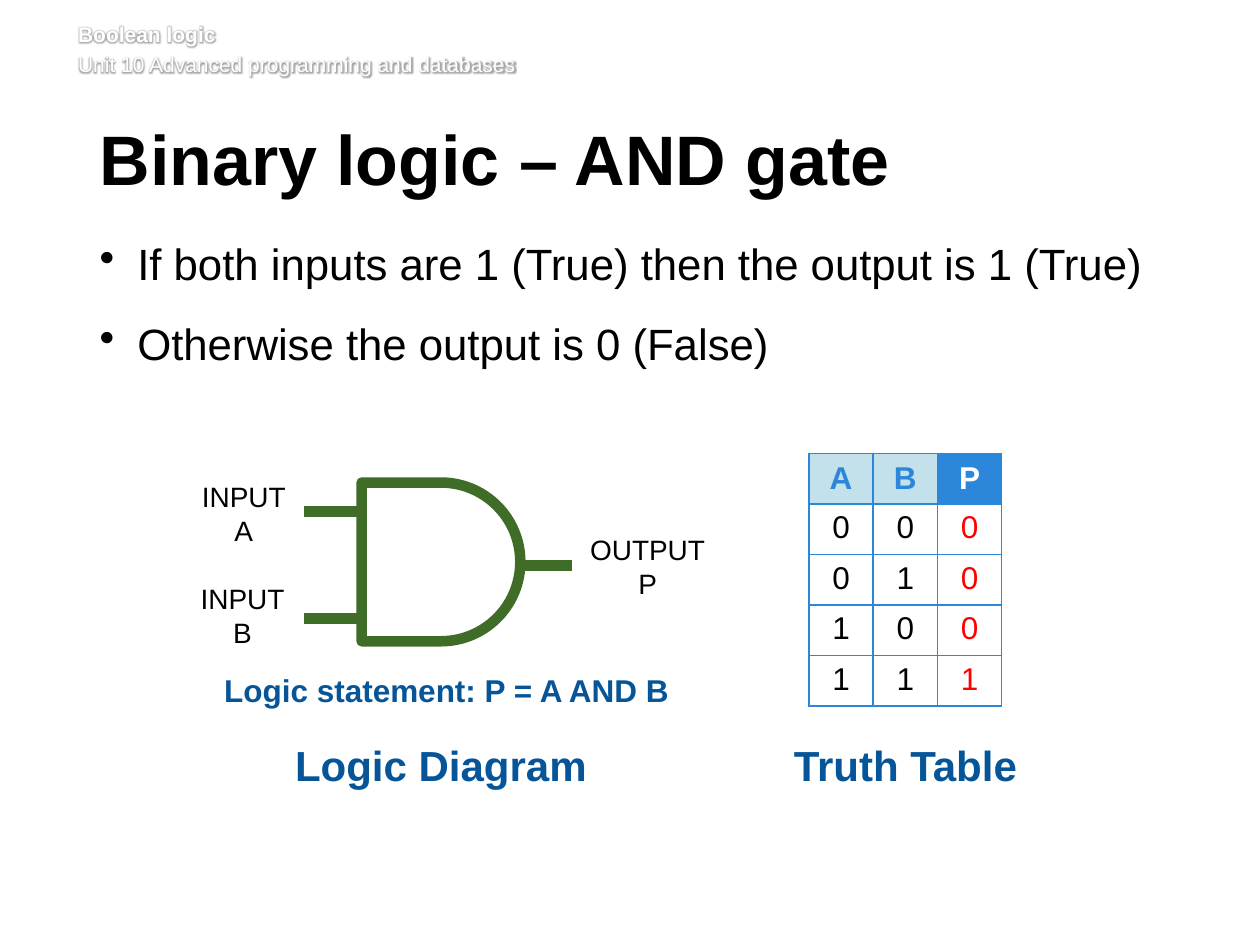
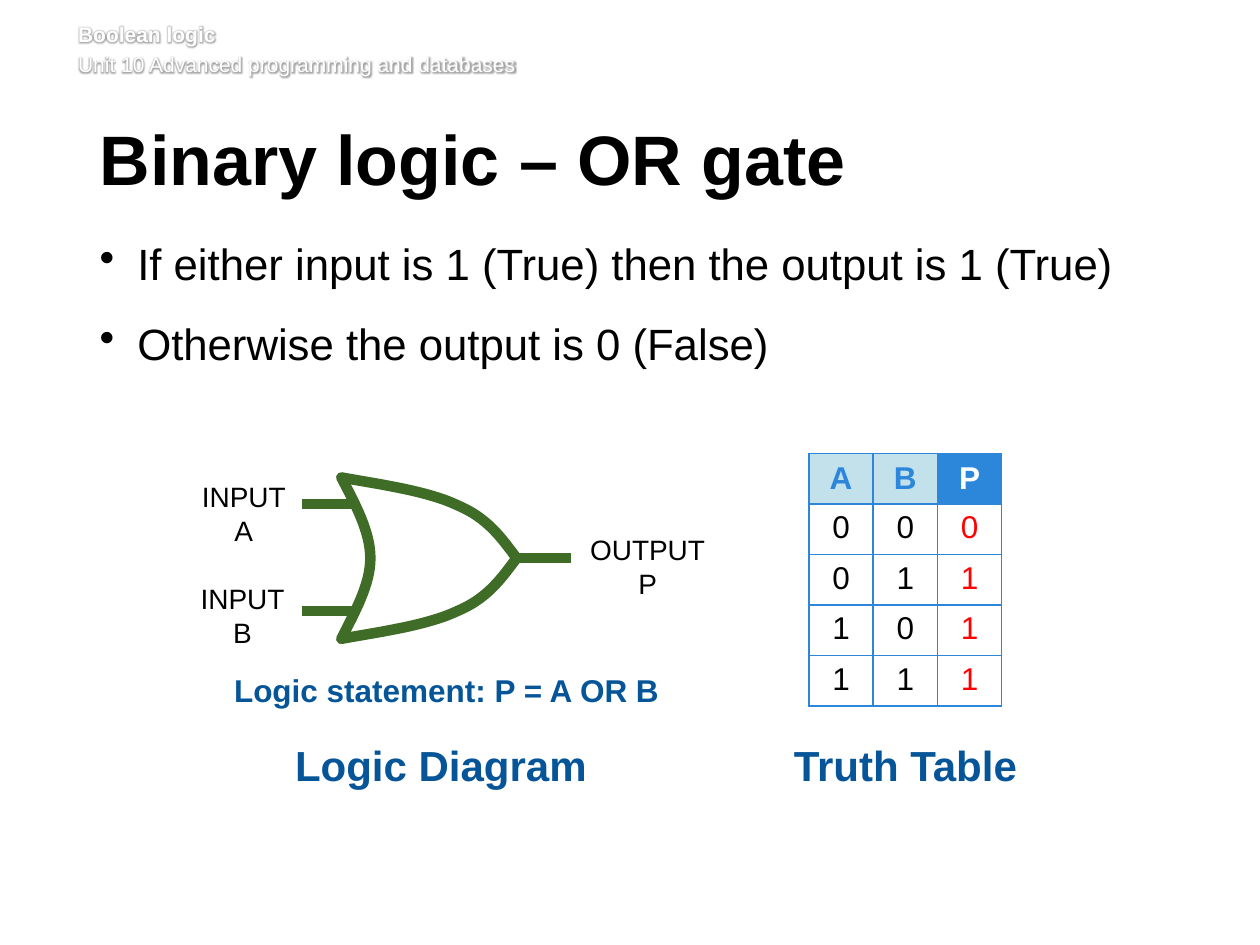
from dataclasses import dataclass

from lxml.etree import SubElement
from pptx import Presentation
from pptx.dml.color import RGBColor
from pptx.enum.shapes import MSO_CONNECTOR, MSO_SHAPE
from pptx.enum.text import MSO_ANCHOR, MSO_AUTO_SIZE, PP_ALIGN
from pptx.oxml import parse_xml
from pptx.oxml.ns import nsdecls, qn
from pptx.util import Inches, Pt

# Content
UNIT_HEADER = [("Boolean logic", True),
               ("Unit 10 Advanced programming and databases", False)]
GATES = [
    dict(name="AND", rule="If both inputs are 1 (True) then the output is 1 (True)",
         outputs=[0, 0, 0, 1], wires_at=(2.41, 4.06)),
    dict(name="OR", rule="If either input is 1 (True) then the output is 1 (True)",
         outputs=[0, 1, 1, 1], wires_at=(2.40, 4.0)),
]
OTHERWISE = "Otherwise the output is 0 (False)"
INPUT_PAIRS = [(0, 0), (0, 1), (1, 0), (1, 1)]
COLUMN_NAMES = ["A", "B", "P"]
PIN_LABELS = [  # lines, box
    (["INPUT", "A"], (1.5, 3.76, 0.87, 0.64)),
    (["INPUT", "B"], (1.49, 4.57, 0.87, 0.64)),
    (["OUTPUT", "P"], (4.58, 4.18, 1.12, 0.64)),
]
CAPTIONS = [("Logic Diagram", (2.23, 5.82, 2.54, 0.5)),
            ("Truth Table", (6.19, 5.82, 1.99, 0.5))]

# Geometry in inches
WIRE_LENGTH = 0.43
WIRE_OFFSETS = [(1.7, 0.43), (0, 0), (0, 0.85)]
STATEMENT_BOX = (1.66, 5.28, 3.77, 0.4)
AND_BODY = (2.87, 3.83, 1.26, 1.26)
OR_AXIS = 4.43
OR_TOP = [[(2.71, 3.79), (3.05, 3.85), (3.4, 3.9), (3.63, 4.01)],
          [(3.63, 4.01), (3.87, 4.11), (3.98, 4.27), (4.1, 4.43)]]
OR_BACK = [[(2.71, 3.79), (2.82, 4.0), (2.94, 4.22), (2.94, 4.43)],
           [(2.94, 4.43), (2.94, 4.64), (2.82, 4.85), (2.71, 5.07)]]
TABLE_LEFT, TABLE_TOP, COLUMN_WIDTH, ROW_HEIGHT = 6.42, 3.6, 0.51, 0.4


@dataclass(frozen=True)
class Theme:
    font: str = "Arial"
    text: str = "000000"
    white: str = "FFFFFF"
    caption: str = "065598"
    gate: str = "3F6C27"
    table_blue: str = "2C87DA"
    table_pale: str = "C3E1EB"
    result: str = "FF0000"
    header_size: float = 12
    title_size: float = 40
    bullet_size: float = 25
    caption_size: float = 24
    table_size: float = 18
    pin_size: float = 16
    gate_line: float = 6


THEME = Theme()


def inches(values):
    return [Inches(value) for value in values]


def style(font, size, color, bold=False):
    font.size, font.bold, font.name = Pt(size), bold, THEME.font
    font.color.rgb = RGBColor.from_string(color)


def add_text(slide, box, lines, size, color, bold=False, margins=None):
    """Centred and unwrapped by default; with margins, left aligned and wrapped."""
    frame = slide.shapes.add_textbox(*inches(box)).text_frame
    frame.word_wrap = margins is not None
    if margins:
        (frame.margin_left, frame.margin_top,
         frame.margin_right, frame.margin_bottom) = inches(margins)
    else:
        frame.auto_size = MSO_AUTO_SIZE.SHAPE_TO_FIT_TEXT
    frame.text = "\n".join(lines)
    for paragraph in frame.paragraphs:
        paragraph.alignment = PP_ALIGN.LEFT if margins else PP_ALIGN.CENTER
        style(paragraph.font, size, color, bold)
    return frame.paragraphs


def add_header(slide):
    lines = [line for line, _ in UNIT_HEADER]
    paragraphs = add_text(slide, (0.62, 0.17, 8.82, 0.49), lines, THEME.header_size,
                          THEME.white, margins=(0, 0, 0, 0.05))
    paragraphs[1].space_before = Pt(2.9)
    for paragraph, (_, bold) in zip(paragraphs, UNIT_HEADER):
        run = paragraph.runs[0]
        style(run.font, THEME.header_size, THEME.white, bold)
        # Dark glow keeps the white header readable
        glow = parse_xml(
            f'<a:effectLst {nsdecls("a")}><a:glow rad="50800"><a:srgbClr val="000000">'
            '<a:alpha val="35000"/></a:srgbClr></a:glow></a:effectLst>')
        run.font.fill._xPr.find(qn("a:solidFill")).addnext(glow)


def add_title_and_rules(slide, gate):
    title, = add_text(slide, (0.79, 0.99, 8.55, 0.73), [f"Binary logic – {gate['name']} gate"],
                      THEME.title_size, THEME.text, True, (0, 0.05, 0.1, 0.05))
    title.line_spacing = Pt(39)
    for paragraph in add_text(slide, (0.79, 1.86, 8.53, 3.78), [gate["rule"], OTHERWISE],
                              THEME.bullet_size, THEME.text, margins=(0, 0, 0.1, 0.05)):
        properties = paragraph._p.get_or_add_pPr()
        properties.set("marL", str(Inches(0.3)))
        properties.set("indent", str(-Inches(0.3)))
        bullet = parse_xml(f'<a:buChar {nsdecls("a")} char="•"/>')
        properties.insert_element_before(bullet, "a:tabLst", "a:defRPr", "a:extLst")
        paragraph.line_spacing = 1.05
        paragraph.space_after = Pt(14)


def draw_gate_line(part):
    part.line.color.rgb = RGBColor.from_string(THEME.gate)
    part.line.width = Pt(THEME.gate_line)


def finish_outline(outline):
    outline.shadow.inherit = False
    outline.fill.background()
    draw_gate_line(outline)
    line_xml = outline.line._get_or_add_ln()
    line_xml.set("cap", "rnd")
    SubElement(line_xml, qn("a:round"))


def add_wires(slide, left, top):
    for dx, dy in WIRE_OFFSETS:
        x, y = left + dx, top + dy
        wire = slide.shapes.add_connector(MSO_CONNECTOR.STRAIGHT,
                                          *inches((x, y, x + WIRE_LENGTH, y)))
        draw_gate_line(wire)
        SubElement(wire._element.spPr, qn("a:effectLst"))


def bezier_points(segments, steps=16):
    points = [segments[0][0]]
    for p0, p1, p2, p3 in segments:
        for step in range(1, steps + 1):
            t = step / steps
            u = 1 - t
            points.append(tuple(u**3 * a + 3 * u * u * t * b + 3 * u * t * t * c + t**3 * d
                                for a, b, c, d in zip(p0, p1, p2, p3)))
    return points


def add_and_body(slide):
    finish_outline(slide.shapes.add_shape(MSO_SHAPE.FLOWCHART_DELAY, *inches(AND_BODY)))


def add_or_body(slide):
    top = bezier_points(OR_TOP)
    bottom = [(x, 2 * OR_AXIS - y) for x, y in top]
    for curve in (top, bottom, bezier_points(OR_BACK)):
        start, *rest = [inches(point) for point in curve]
        builder = slide.shapes.build_freeform(*start)
        builder.add_line_segments(rest, close=False)
        finish_outline(builder.convert_to_shape())


def add_diagram(slide, gate):
    for lines, box in PIN_LABELS:
        add_text(slide, box, lines, THEME.pin_size, THEME.text)
    add_text(slide, STATEMENT_BOX, [f"Logic statement: P = A {gate['name']} B"],
             THEME.table_size, THEME.caption, True)
    add_wires(slide, *gate["wires_at"])
    {"AND": add_and_body, "OR": add_or_body}[gate["name"]](slide)


def add_borders(cell):
    properties = cell._tc.get_or_add_tcPr()
    for index, side in enumerate("LRTB"):
        properties.insert(index, parse_xml(
            f'<a:ln{side} {nsdecls("a")} w="{Pt(1)}"><a:solidFill>'
            f'<a:srgbClr val="{THEME.table_blue}"/></a:solidFill></a:ln{side}>'))


def add_truth_table(slide, outputs):
    rows = [COLUMN_NAMES] + [[*pair, out] for pair, out in zip(INPUT_PAIRS, outputs)]
    size = (COLUMN_WIDTH * len(COLUMN_NAMES), ROW_HEIGHT * len(rows))
    table = slide.shapes.add_table(len(rows), len(COLUMN_NAMES),
                                   *inches((TABLE_LEFT, TABLE_TOP, *size))).table
    table.first_row = table.horz_banding = False
    for r, row in enumerate(rows):
        for c, value in enumerate(row):
            cell = table.cell(r, c)
            is_head, is_output = r == 0, c == len(row) - 1
            cell.text = str(value)
            if is_head:
                color, fill = ((THEME.white, THEME.table_blue) if is_output
                               else (THEME.table_blue, THEME.table_pale))
                cell.fill.solid()
                cell.fill.fore_color.rgb = RGBColor.from_string(fill)
                cell.vertical_anchor = MSO_ANCHOR.MIDDLE
            else:
                color = THEME.result if is_output else THEME.text
                cell.fill.background()
            paragraph = cell.text_frame.paragraphs[0]
            paragraph.alignment = PP_ALIGN.CENTER
            style(paragraph.font, THEME.table_size, color, is_head)
            add_borders(cell)


def main():
    deck = Presentation()
    deck.slide_width, deck.slide_height = Inches(10), Inches(7.5)
    for gate in GATES:
        slide = deck.slides.add_slide(deck.slide_layouts[6])
        add_header(slide)
        add_title_and_rules(slide, gate)
        for caption, box in CAPTIONS:
            add_text(slide, box, [caption], THEME.caption_size, THEME.caption, True)
        add_diagram(slide, gate)
        add_truth_table(slide, gate["outputs"])
    deck.save("out.pptx")


if __name__ == "__main__":
    main()
